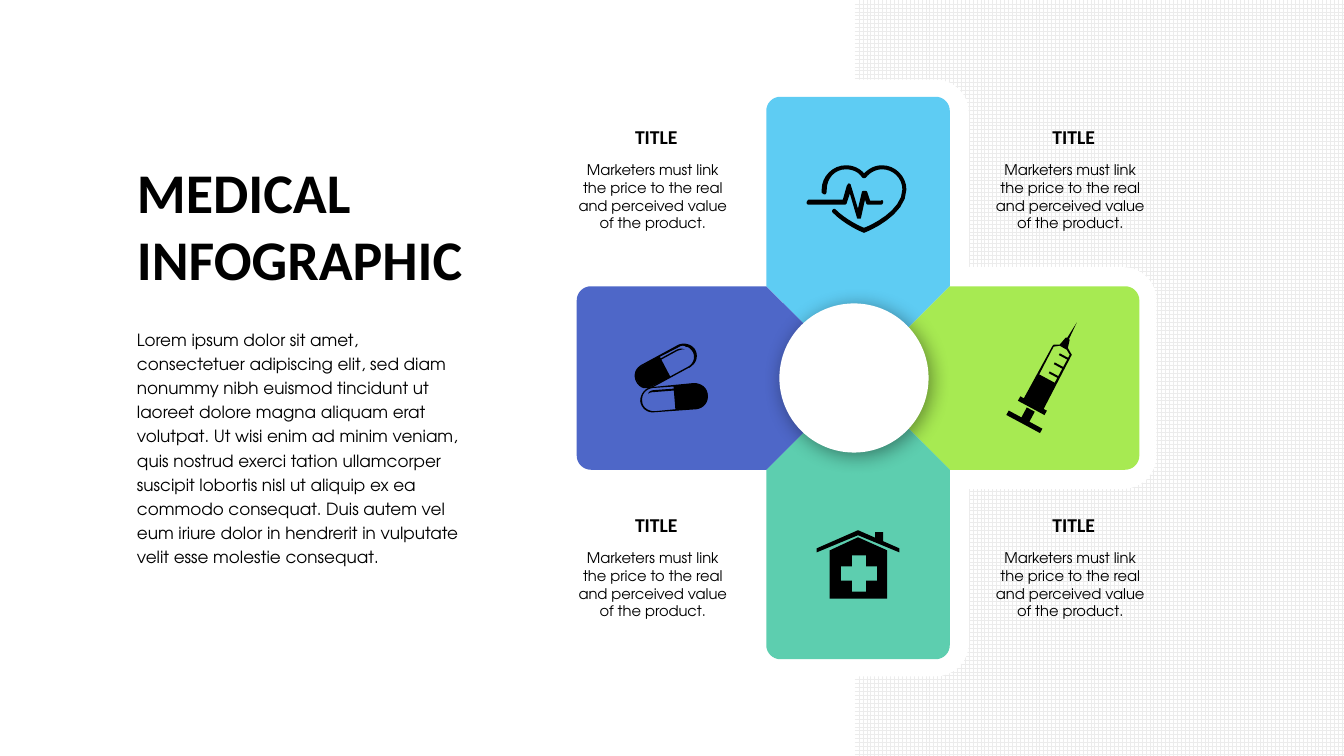
"""Build a medical infographic slide: a four-armed cross with icons and captions."""
from dataclasses import dataclass
from math import cos, pi, sin

from lxml.etree import SubElement
from pptx import Presentation
from pptx.dml.color import RGBColor
from pptx.enum.dml import MSO_PATTERN
from pptx.enum.shapes import MSO_SHAPE
from pptx.enum.text import MSO_AUTO_SIZE, PP_ALIGN
from pptx.oxml.ns import qn
from pptx.shapes.base import BaseShape
from pptx.shapes.shapetree import GroupShapes, SlideShapes
from pptx.util import Inches, Pt

Point = tuple[float, float]
Shapes = SlideShapes | GroupShapes
CENTER: Point = (8.51, 3.75)
BLACK, WHITE = "000000", "FFFFFF"
HEADING_FONT, BODY_FONT = "Calibri", "TeX Gyre Adventor"
TILT = 28.3
LOREM = (
    "Lorem ipsum dolor sit amet, consectetuer adipiscing elit, sed diam nonummy nibh "
    "euismod tincidunt ut laoreet dolore magna aliquam erat volutpat. Ut wisi enim ad "
    "minim veniam, quis nostrud exerci tation ullamcorper suscipit lobortis nisl ut "
    "aliquip ex ea commodo consequat. Duis autem vel eum iriure dolor in hendrerit in "
    "vulputate velit esse molestie consequat."
)
CAPTION = "Marketers must link the price to the real and perceived value of the product."


@dataclass(frozen=True)
class Bar:
    left: float
    top: float
    width: float
    height: float
    rotation: float = TILT


@dataclass(frozen=True)
class Icon:
    outlines: tuple[str, ...]
    bars: tuple[Bar, ...] = ()


@dataclass(frozen=True)
class Words:
    text: str
    left: float
    top: float
    width: float
    height: float
    size: float
    font: str = BODY_FONT
    bold: bool = False
    align: PP_ALIGN = PP_ALIGN.LEFT
    spacing: float | None = None


ARM_COLORS = ("5ECCF3", "A7EA52", "5DCEAF", "4E67C8")

HEART = Icon((
    "M 8.57,2.31 C 8.54,2.3 8.38,2.23 8.26,2.11 8.25,2.1 8.25,2.09 8.26,2.08 "
    "8.27,2.07 8.28,2.07 8.29,2.08 8.39,2.18 8.54,2.25 8.57,2.26 "
    "8.63,2.24 8.95,2.09 8.95,1.88 8.95,1.77 8.86,1.68 8.75,1.68 "
    "8.69,1.68 8.63,1.71 8.59,1.76 8.58,1.77 8.56,1.77 8.55,1.76 "
    "8.52,1.71 8.46,1.68 8.39,1.68 8.28,1.68 8.2,1.77 8.2,1.88 L 8.2,1.9 "
    "C 8.2,1.91 8.19,1.93 8.18,1.93 8.17,1.93 8.16,1.92 8.15,1.91 L 8.15,1.88 "
    "C 8.15,1.75 8.26,1.64 8.39,1.64 8.46,1.64 8.53,1.67 8.57,1.72 "
    "8.62,1.67 8.68,1.64 8.75,1.64 8.88,1.64 8.99,1.75 8.99,1.88 "
    "8.99,2.14 8.6,2.3 8.57,2.31",
    "M 8.52,2.17 C 8.51,2.17 8.5,2.17 8.5,2.16 L 8.43,1.92 8.4,2.01 "
    "C 8.4,2.02 8.39,2.03 8.38,2.03 L 8.02,2.03 C 8.01,2.03 8,2.02 8,2.01 "
    "8,2 8.01,1.99 8.02,1.98 L 8.36,1.98 8.4,1.84 C 8.41,1.83 8.41,1.82 8.42,1.82 "
    "8.43,1.82 8.44,1.83 8.44,1.84 L 8.51,2.07 8.55,1.9 "
    "C 8.56,1.89 8.59,1.89 8.6,1.9 L 8.63,1.99 8.74,1.99 "
    "C 8.75,1.98 8.76,1.99 8.76,2 8.76,2.02 8.75,2.03 8.74,2.03 L 8.61,2.03 "
    "C 8.6,2.03 8.59,2.02 8.59,2.01 L 8.58,1.98 8.54,2.16 C 8.54,2.17 8.53,2.17 8.52,2.17",
))
SYRINGE = Icon(
    (
        "M 10.34,4.06 L 10.16,3.97 10.15,3.96 10.44,3.43 10.45,3.42 10.51,3.42 10.59,3.45 "
        "10.63,3.52 10.35,4.06 M 10.18,3.96 L 10.33,4.04 10.61,3.52 10.58,3.47 10.51,3.43 10.45,3.44",
        "M 10.51,3.42 L 10.57,3.35 10.58,3.35 10.61,3.37 10.59,3.46",
        "M 10.58,3.36 L 10.68,3.2 10.6,3.37",
    ),
    (
        Bar(10.22, 3.74, 0.2, 0.28),
        Bar(10.09, 4, 0.3, 0.05),
        Bar(9.97, 4.16, 0.38, 0.05),
        Bar(10.12, 4.08, 0.14, 0.09, TILT + 90),
        *(Bar(10.5 - 0.05 * tick, 3.53 + 0.09 * tick, 0.11, 0.02) for tick in range(3)),
    ),
)
PILLS = Icon((
    "M 6.42,3.85 C 6.41,3.85 6.4,3.85 6.38,3.85 6.32,3.83 6.28,3.76 6.3,3.69 "
    "6.31,3.66 6.33,3.64 6.36,3.62 L 6.71,3.43 C 6.77,3.39 6.85,3.41 6.89,3.46 "
    "6.93,3.52 6.91,3.6 6.86,3.63 6.85,3.64 6.84,3.65 6.83,3.65 L 6.48,3.84 "
    "C 6.46,3.85 6.44,3.85 6.42,3.85 M 6.77,3.43 C 6.75,3.43 6.74,3.44 6.72,3.45 "
    "L 6.37,3.63 C 6.32,3.66 6.3,3.73 6.32,3.78 6.35,3.83 6.42,3.85 6.47,3.83 "
    "L 6.82,3.64 C 6.88,3.61 6.9,3.54 6.87,3.49 6.85,3.46 6.83,3.44 6.8,3.44 "
    "6.79,3.43 6.78,3.43 6.77,3.43",
    "M 6.37,3.63 C 6.31,3.66 6.29,3.73 6.32,3.78 6.35,3.84 6.42,3.86 6.47,3.83 "
    "L 6.65,3.74 6.54,3.53",
    "M 6.5,3.6 L 6.72,3.48 C 6.75,3.47 6.78,3.46 6.79,3.47 6.77,3.45 6.73,3.46 6.71,3.47 "
    "L 6.49,3.59",
    "M 6.91,4.06 L 6.49,4.09 C 6.42,4.1 6.36,4.05 6.35,3.98 6.35,3.91 6.4,3.84 6.47,3.84 "
    "L 6.88,3.8 C 6.96,3.8 7.02,3.85 7.02,3.92 7.03,3.99 6.98,4.05 6.91,4.06 "
    "M 6.37,3.98 C 6.37,4.04 6.43,4.08 6.49,4.08 L 6.91,4.04 "
    "C 6.97,4.04 7.01,3.98 7.01,3.92 7.01,3.89 6.99,3.86 6.97,3.84 "
    "6.95,3.82 6.92,3.82 6.89,3.82 L 6.47,3.85 C 6.41,3.86 6.36,3.91 6.37,3.98",
    "M 6.89,3.81 C 6.95,3.8 7.01,3.85 7.02,3.92 7.02,3.99 6.97,4.05 6.91,4.05 "
    "L 6.7,4.07 6.68,3.83",
    "M 6.75,3.87 L 6.49,3.89 C 6.46,3.89 6.43,3.9 6.43,3.91 6.43,3.88 6.47,3.87 6.5,3.87 "
    "L 6.76,3.85",
))
HOUSE = Icon((
    "M 8.1,5.48 L 8.51,5.31 8.92,5.48 8.92,5.44 8.51,5.26 8.1,5.44",
    "M 8.76,5.28 L 8.68,5.28 8.68,5.35 8.76,5.38",
    "M 8.51,5.33 L 8.23,5.46 8.23,5.94 8.8,5.94 8.8,5.46 M 8.7,5.76 L 8.59,5.76 8.59,5.87 "
    "8.45,5.87 8.45,5.76 8.34,5.76 8.34,5.62 8.45,5.62 8.45,5.51 8.59,5.51 8.59,5.62 8.7,5.62",
))


def paint(shape: BaseShape, color: str) -> None:
    shape.shadow.inherit = False
    shape.fill.solid()
    shape.fill.fore_color.rgb = RGBColor.from_string(color)
    shape.line.fill.background()


def bezier(knots: list[Point], steps: int = 8) -> list[Point]:
    def at(time: float) -> Point:
        rest = 1 - time
        weights = (rest**3, 3 * rest**2 * time, 3 * rest * time**2, time**3)
        return tuple(sum(w * knot[axis] for w, knot in zip(weights, knots)) for axis in (0, 1))

    return [at(step / steps) for step in range(1, steps + 1)]


def trace(outline: str) -> list[list[Point]]:
    contours = []
    for part in outline.split("M")[1:]:
        contour, controls, command = [], [], "L"
        for token in part.split():
            if token in ("L", "C"):
                command = token
                continue
            x, y = map(float, token.split(","))
            if command == "L":
                contour.append((x, y))
                continue
            controls.append((x, y))
            if len(controls) == 3:
                contour += bezier([contour[-1], *controls])
                controls = []
        contours.append(contour)
    return contours


def add_outline(shapes: Shapes, contours: list[list[Point]], color: str) -> None:
    rings = [[(Inches(x), Inches(y)) for x, y in contour] for contour in contours]
    builder = shapes.build_freeform(*rings[0][0])
    for index, ring in enumerate(rings):
        if index:
            builder.move_to(*ring[0])
        builder.add_line_segments(ring[1:], close=True)
    paint(builder.convert_to_shape(), color)


def arm_outline(half: float, reach: float, radius: float, turn: int) -> list[Point]:
    points = [(-half, -half)]
    for side, start in ((-1, pi), (1, 1.5 * pi)):
        for step in range(9):
            angle = start + step * pi / 16
            points.append((side * (half - radius) + radius * cos(angle),
                           radius - reach + radius * sin(angle)))
    points.append((half, -half))
    c, s = ((1, 0), (0, 1), (-1, 0), (0, -1))[turn]
    return [(CENTER[0] + x * c - y * s, CENTER[1] + x * s + y * c) for x, y in points]


def add_icon(shapes: SlideShapes, icon: Icon) -> None:
    group = shapes.add_group_shape()
    for outline in icon.outlines:
        add_outline(group.shapes, trace(outline), BLACK)
    for bar in icon.bars:
        box = group.shapes.add_shape(MSO_SHAPE.RECTANGLE, Inches(bar.left), Inches(bar.top),
                                     Inches(bar.width), Inches(bar.height))
        box.rotation = bar.rotation
        paint(box, BLACK)


def add_hub(shapes: SlideShapes) -> None:
    hub = shapes.add_shape(MSO_SHAPE.OVAL, Inches(7.73), Inches(3.01), Inches(1.48), Inches(1.48))
    paint(hub, WHITE)
    effects = hub._element.spPr.find(qn("a:effectLst"))
    shadow = SubElement(effects, qn("a:outerShdw"), blurRad=str(Pt(14)), dist=str(Pt(3)),
                        dir="2700000", algn="ctr", rotWithShape="0")
    tint = SubElement(shadow, qn("a:srgbClr"), val=BLACK)
    SubElement(tint, qn("a:alpha"), val="40000")


def add_words(shapes: SlideShapes, words: Words) -> None:
    box = shapes.add_textbox(Inches(words.left), Inches(words.top),
                             Inches(words.width), Inches(words.height))
    frame = box.text_frame
    frame.word_wrap = True
    frame.auto_size = MSO_AUTO_SIZE.SHAPE_TO_FIT_TEXT
    para = frame.paragraphs[0]
    para.alignment = words.align
    para.line_spacing = words.spacing
    span = para.add_run()
    span.text = words.text
    span.font.name, span.font.size, span.font.bold = words.font, Pt(words.size), words.bold
    span.font.color.rgb = RGBColor.from_string(BLACK)


def main() -> None:
    deck = Presentation()
    deck.slide_width, deck.slide_height = Inches(13.33), Inches(7.5)
    shapes = deck.slides.add_slide(deck.slide_layouts[6]).shapes
    grid = shapes.add_shape(MSO_SHAPE.RECTANGLE, Inches(8.48), 0, Inches(4.85), Inches(7.5))
    paint(grid, WHITE)
    grid.fill.patterned()
    grid.fill.pattern = MSO_PATTERN.LARGE_GRID
    grid.fill.fore_color.rgb = RGBColor.from_string("ECECEC")
    grid.fill.back_color.rgb = RGBColor.from_string(WHITE)
    add_words(shapes, Words("MEDICAL INFOGRAPHIC", 1.26, 1.51, 4, 1.45, 40, HEADING_FONT, True))
    add_words(shapes, Words(LOREM, 1.26, 3.18, 3.45, 2.5, 12, spacing=1.2))
    border = [point for turn in range(4) for point in arm_outline(1.1, 2.96, 0.33, turn)]
    add_outline(shapes, [border], WHITE)
    for turn, color in enumerate(ARM_COLORS):
        add_outline(shapes, [[*arm_outline(0.91, 2.79, 0.14, turn), CENTER]], color)
    for icon in (HEART, SYRINGE, PILLS, HOUSE):
        add_icon(shapes, icon)
    add_hub(shapes)
    for left in (5.6, 9.74):
        for top in (1.19, 5.04):
            add_words(shapes, Words(CAPTION, left, top + 0.36, 1.75, 0.81, 10.5,
                                    align=PP_ALIGN.CENTER))
            add_words(shapes, Words("TITLE", left + 0.13, top, 1.56, 0.34, 14, HEADING_FONT,
                                    True, PP_ALIGN.CENTER))
    deck.save("out.pptx")


if __name__ == "__main__":
    main()
